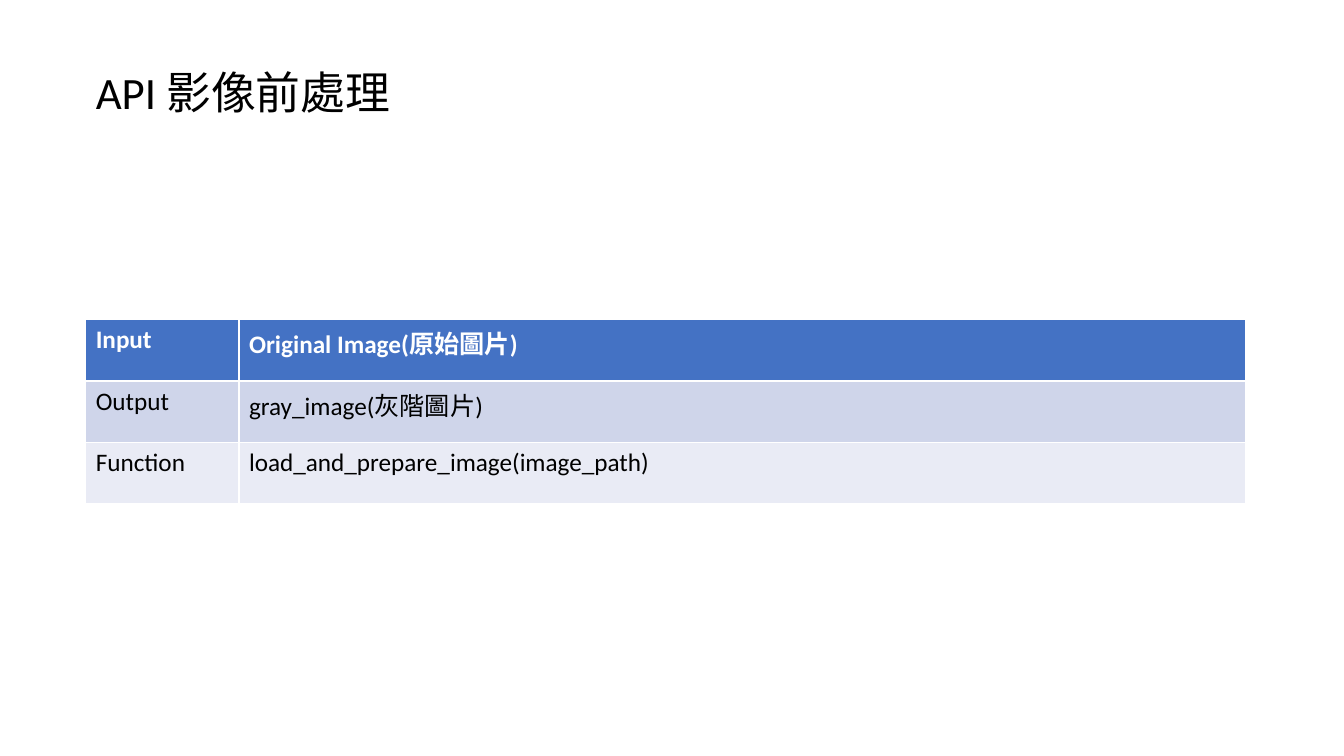
from pptx import Presentation
from pptx import util as u
from pptx.dml.color import RGBColor
from pptx.enum import text

TITLE = "API 影像前處理"
ROWS = [
    ("Input", "Original Image(原始圖片)"),
    ("Output", "gray_image(灰階圖片)"),
    ("Function", "load_and_prepare_image(image_path)"),
]
HEX = {"head": "4472C4", "odd": "CFD5EA", "even": "E9EBF5",
       "ink": "000000", "white": "FFFFFF"}
FILLS = ["head", "odd", "even"]
WIDE, HIGH = 13.33, 7.5
LEFT, SPAN = 0.85, 11.5
TOP, STEP = 3.17, 0.61
COLS = [1.52, SPAN - 1.52]


def style(para, size, ink, bold=False):
    for run in para.runs:
        font = run.font
        font.name, font.size, font.bold = "Calibri", u.Pt(size), bold
        font.color.rgb = RGBColor.from_string(HEX[ink])


def main():
    deck = Presentation()
    deck.slide_width, deck.slide_height = u.Inches(WIDE), u.Inches(HIGH)
    slide = deck.slides.add_slide(deck.slide_layouts[5])

    title = slide.shapes.title
    title.left, title.top = u.Inches(LEFT), u.Inches(0.54)
    title.width, title.height = u.Inches(SPAN), u.Inches(0.8)
    frame = title.text_frame
    frame.text = TITLE
    frame.vertical_anchor = text.MSO_ANCHOR.MIDDLE
    para = frame.paragraphs[0]
    para.alignment = text.PP_ALIGN.LEFT
    para.line_spacing = 0.9
    style(para, 32, "ink")

    grid = slide.shapes.add_table(
        len(ROWS), len(COLS), u.Inches(LEFT), u.Inches(TOP),
        u.Inches(SPAN), u.Inches(STEP * len(ROWS))).table
    for col, width in zip(grid.columns, COLS):
        col.width = u.Inches(width)
    for r, (row, fill) in enumerate(zip(ROWS, FILLS)):
        grid.rows[r].height = u.Inches(STEP)
        for c, words in enumerate(row):
            cell = grid.cell(r, c)
            cell.fill.solid()
            cell.fill.fore_color.rgb = RGBColor.from_string(HEX[fill])
            cell.text_frame.text = words
            style(cell.text_frame.paragraphs[0], 18,
                  "ink" if r else "white", r == 0)

    deck.save("out.pptx")


if __name__ == "__main__":
    main()
